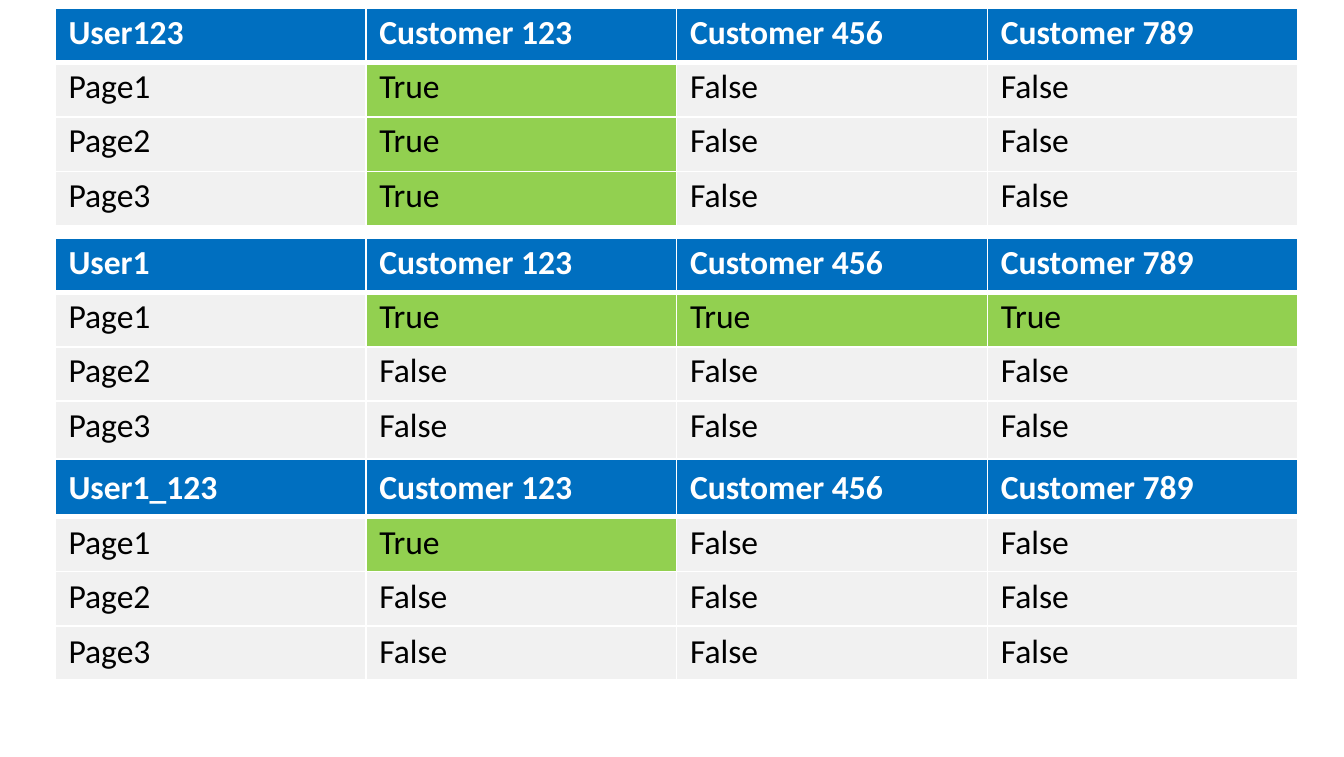
from lxml import etree
from pptx import Presentation
from pptx.dml.color import RGBColor
from pptx.oxml.ns import qn
from pptx.util import Inches, Pt

CUSTOMERS = ["Customer 123", "Customer 456", "Customer 789"]
PAGES = ["Page1", "Page2", "Page3"]
T, F = "True", "False"

USER123 = [["User123", *CUSTOMERS],
           [PAGES[0], T, F, F],
           [PAGES[1], T, F, F],
           [PAGES[2], T, F, F]]
USER1 = [["User1", *CUSTOMERS],
         [PAGES[0], T, T, T],
         [PAGES[1], F, F, F],
         [PAGES[2], F, F, F]]
USER1_123 = [["User1_123", *CUSTOMERS],
             [PAGES[0], T, F, F],
             [PAGES[1], F, F, F],
             [PAGES[2], F, F, F]]

THEME = {"font": "Calibri", "size": 18, "header": "006FC0", "body": "F1F1F1",
         "granted": "92D050", "light": "FFFFFF", "dark": "000000",
         "thin": 1, "thick": 3}

SLIDE_W, SLIDE_H = 10, 5.63
LEFT, WIDTH = 0.41, 9.25
GROUP = 4                       # one header row and three page rows
ROW = 1.62 / GROUP
TALL_ROW = 0.43

# Each table: top, rows, heights of the rows that are taller, top inset by group
# as (header, pages)
TABLES = [
    (0.06, USER123, {}, [(0.03, 0.03)]),
    (1.77, USER1 + USER1_123, {3: TALL_ROW, 4: TALL_ROW},
     [(0.03, 0.03), (0.06, 0.04)]),
]


def add_text(tf, text, *, color, bold=False):
    p = tf.paragraphs[0]
    r = p.add_run()
    r.text = text
    r.font.name = THEME["font"]
    r.font.size = Pt(THEME["size"])
    r.font.bold = bold
    r.font.color.rgb = RGBColor.from_string(color)


def set_borders(cell, **widths):
    """Draw cell borders; must run before the fill, which follows them in the XML."""
    tc_pr = cell._tc.get_or_add_tcPr()
    for side in "LRTB":
        width = widths.get(side, THEME["thin"])
        ln = etree.SubElement(tc_pr, qn(f"a:ln{side}"), w=str(Pt(width)))
        fill = etree.SubElement(ln, qn("a:solidFill"))
        etree.SubElement(fill, qn("a:srgbClr"), val=THEME["light"])


def format_cell(cell, text, row_in_group, inset):
    is_header = row_in_group == 0
    cell.margin_left, cell.margin_top = Inches(0.1), Inches(inset)
    cell.margin_right = cell.margin_bottom = 0
    add_text(cell.text_frame, text, bold=is_header,
             color=THEME["light" if is_header else "dark"])
    thick_side = {0: "B", 1: "T"}.get(row_in_group)
    set_borders(cell, **({thick_side: THEME["thick"]} if thick_side else {}))
    fill = "header" if is_header else "granted" if text == T else "body"
    cell.fill.solid()
    cell.fill.fore_color.rgb = RGBColor.from_string(THEME[fill])


def add_access_table(s, top, rows, tall_rows, insets):
    columns = len(rows[0])
    heights = [tall_rows.get(i, ROW) for i in range(len(rows))]
    table = s.shapes.add_table(len(rows), columns, Inches(LEFT), Inches(top),
                               Inches(WIDTH), Inches(sum(heights))).table
    table.horz_banding = False
    for column in table.columns:
        column.width = Inches(WIDTH / columns)
    for i, values in enumerate(rows):
        table.rows[i].height = Inches(heights[i])
        group, row_in_group = divmod(i, GROUP)
        inset = insets[group][min(row_in_group, 1)]
        for j, text in enumerate(values):
            format_cell(table.cell(i, j), text, row_in_group, inset)


def main():
    prs = Presentation()
    prs.slide_width, prs.slide_height = Inches(SLIDE_W), Inches(SLIDE_H)
    s = prs.slides.add_slide(prs.slide_layouts[6])
    for spec_row in TABLES:
        add_access_table(s, *spec_row)
    prs.save("out.pptx")


if __name__ == "__main__":
    main()
